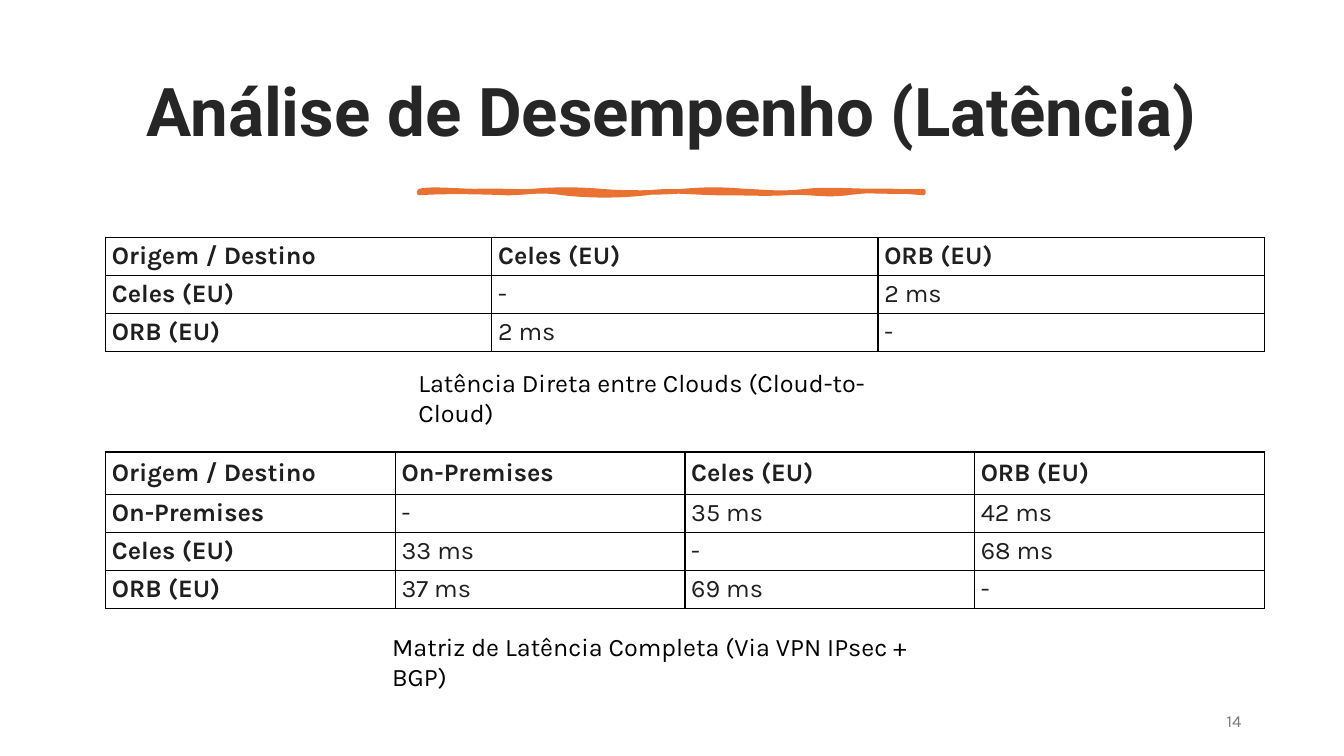
from lxml.etree import SubElement
from pptx import Presentation
from pptx.dml.color import RGBColor
from pptx.enum.text import MSO_ANCHOR as Anchor, PP_ALIGN as Align
from pptx.oxml.ns import qn
from pptx.util import Pt

TITLE = "Análise de Desempenho (Latência)"
PAGE = "14"
DIRECT = [
    ("Origem / Destino", "Celes (EU)", "ORB (EU)"),
    ("Celes (EU)", "-", "2 ms"),
    ("ORB (EU)", "2 ms", "-"),
]
COMPLETE = [
    ("Origem / Destino", "On-Premises", "Celes (EU)", "ORB (EU)"),
    ("On-Premises", "-", "35 ms", "42 ms"),
    ("Celes (EU)", "33 ms", "-", "68 ms"),
    ("ORB (EU)", "37 ms", "69 ms", "-"),
]
MATRICES = [(DIRECT, 169.4, 27), (COMPLETE, 322.8, 30.2)]
CAPTIONS = [
    ("Latência Direta entre Clouds (Cloud-to-Cloud)", 291.7, 258.8, 375.8),
    ("Matriz de Latência Completa (Via VPN IPsec + BGP)", 273, 447.1, 414),
]
TABLE_LEFT, TABLE_WIDTH, ROW_HEIGHT = 75.5, 827.6, 27
STROKE_LEFT, STROKE_TOP = 299.5, 136.5
STROKE_CURVES = [
    (8.6, -2.2, 27.4, 0, 41, 0),
    (54.7, -0.7, 67, 0.7, 81.4, 0),
    (95.8, -1.4, 113.8, -1.4, 129.6, 0),
    (144.7, 1.4, 170.6, 1.4, 187.9, 0),
    (205.9, -1.4, 214.6, -1.4, 232.6, 0),
    (249.8, 0.7, 257.8, 2.2, 276.5, 0),
    (295.2, -2.2, 324.7, 1.4, 360, 0),
    (360.7, 0.7, 360, 0.7, 360, 1.4),
    (344.9, 0, 323.3, -1.4, 305.3, 1.4),
    (287.3, 3.6, 277.2, 0, 261.4, 1.4),
    (244.8, 2.2, 238.3, 1.4, 216.7, 1.4),
    (195.1, 1.4, 180.7, -1.4, 162, 1.4),
    (142.6, 3.6, 121.7, 3.6, 103, 1.4),
    (85, -1.4, 77, 1.4, 62.6, 1.4),
    (48.2, 0.7, 15.8, 0, 0, 1.4),
]
UNITS_PER_POINT = 100


def color(value):
    return RGBColor.from_string(value)


def write(paragraph, text, size, ink, font="Karla", bold=False):
    run = paragraph.add_run()
    run.text = text
    run.font.name = font
    run.font.size = Pt(size)
    run.font.bold = bold
    run.font.color.rgb = color(ink)


def add_text(slide, box, text, size, ink, align=Align.LEFT, anchor=Anchor.TOP, **style):
    frame = slide.shapes.add_textbox(*map(Pt, box)).text_frame
    frame.word_wrap = True
    frame.vertical_anchor = anchor
    paragraph = frame.paragraphs[0]
    paragraph.alignment = align
    write(paragraph, text, size, ink, **style)
    return paragraph


def add_borders(cell):
    properties = cell._tc.get_or_add_tcPr()
    for side in ("a:lnL", "a:lnR", "a:lnT", "a:lnB"):
        line = SubElement(properties, qn(side), w=str(Pt(1)))
        fill = SubElement(line, qn("a:solidFill"))
        SubElement(fill, qn("a:srgbClr"), val="000000")


def add_matrix(slide, rows, top, header_height):
    height = header_height + ROW_HEIGHT * (len(rows) - 1)
    box = map(Pt, (TABLE_LEFT, top, TABLE_WIDTH, height))
    table = slide.shapes.add_table(len(rows), len(rows[0]), *box).table
    table.first_row = table.horz_banding = False
    for column in table.columns:
        column.width = Pt(TABLE_WIDTH / len(rows[0]))
    for r, row in enumerate(rows):
        table.rows[r].height = Pt(ROW_HEIGHT if r else header_height)
        for c, text in enumerate(row):
            cell = table.cell(r, c)
            cell.margin_left = cell.margin_right = Pt(4.5)
            cell.margin_top = cell.margin_bottom = Pt(2.8)
            cell.vertical_anchor = Anchor.MIDDLE
            add_borders(cell)
            cell.fill.background()
            write(cell.text_frame.paragraphs[0], text, 18, "1F1F1F", bold=r == 0 or c == 0)


def units(value):
    return round(value * UNITS_PER_POINT)


def add_stroke(slide):
    builder = slide.shapes.build_freeform(scale=Pt(1) / UNITS_PER_POINT)
    ends = [(units(curve[4]), units(curve[5])) for curve in STROKE_CURVES]
    builder.add_line_segments(ends, close=True)
    stroke = builder.convert_to_shape(Pt(STROKE_LEFT), Pt(STROKE_TOP))
    segments = list(stroke._element.iter(qn("a:lnTo")))
    for segment, (x1, y1, x2, y2, x3, y3) in zip(segments, STROKE_CURVES):
        bezier = SubElement(segment.getparent(), qn("a:cubicBezTo"))
        for x, y in ((x1, y1), (x2, y2), (x3, y3)):
            SubElement(bezier, qn("a:pt"), x=str(units(x)), y=str(units(y)))
        segment.getparent().replace(segment, bezier)
    stroke.shadow.inherit = False
    stroke.fill.solid()
    stroke.fill.fore_color.rgb = color("E97132")
    stroke.line.color.rgb = color("E97132")
    stroke.line.width = Pt(3.25)


def main():
    deck = Presentation()
    deck.slide_width, deck.slide_height = Pt(960), Pt(540)
    slide = deck.slides.add_slide(deck.slide_layouts[6])
    title = add_text(slide, (50.4, 32.8, 859, 98.6), TITLE, 48, "262626",
                     Align.CENTER, Anchor.MIDDLE, font="Roboto", bold=True)
    title.line_spacing = 0.9
    add_stroke(slide)
    add_text(slide, (678, 500.4, 216, 28.8), PAGE, 12, "797979", Align.RIGHT, Anchor.MIDDLE)
    for rows, top, header_height in MATRICES:
        add_matrix(slide, rows, top, header_height)
    for text, left, top, width in CAPTIONS:
        add_text(slide, (left, top, width, 28.8), text, 18, "000000")
    deck.save("out.pptx")


if __name__ == "__main__":
    main()
